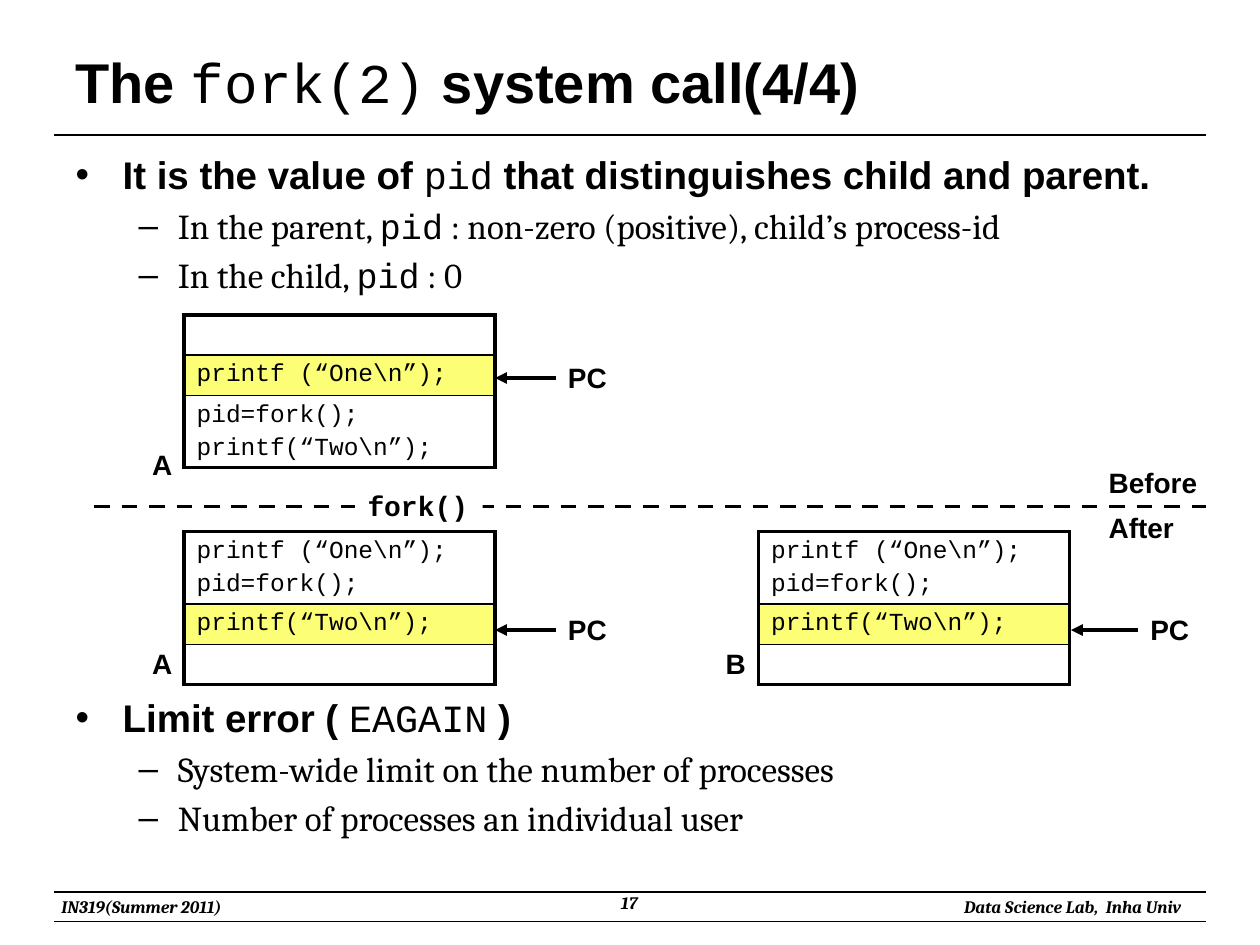
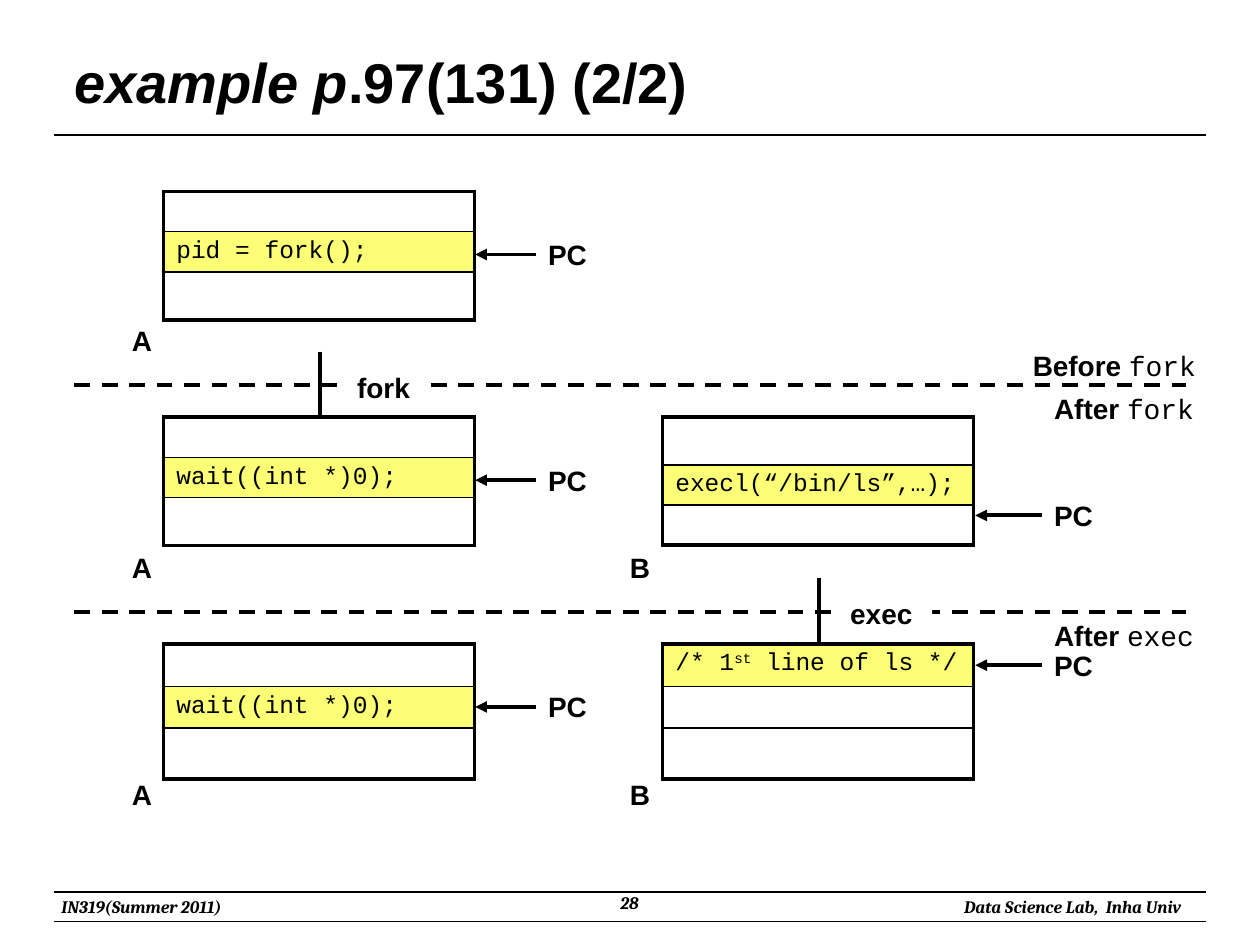
"""Build two slides on the fork and exec system calls."""
from lxml import etree
from pptx import Presentation
from pptx.dml.color import RGBColor
from pptx.enum.dml import MSO_LINE
from pptx.enum.shapes import MSO_CONNECTOR
from pptx.enum.text import MSO_ANCHOR, MSO_AUTO_SIZE, PP_ALIGN
from pptx.oxml.ns import qn
from pptx.util import Cm, Pt

STRAIGHT = MSO_CONNECTOR.STRAIGHT
DASH = MSO_LINE.DASH
MIDDLE = MSO_ANCHOR.MIDDLE
TOP = MSO_ANCHOR.TOP
FIXED = MSO_AUTO_SIZE.NONE
LEFT, CENTER, RIGHT = PP_ALIGN.LEFT, PP_ALIGN.CENTER, PP_ALIGN.RIGHT

SANS, SERIF, MONO = "Arial", "Cambria", "Courier New"
BLACK, WHITE, YELLOW = "000000", "FFFFFF", "FCFF75"
color = RGBColor.from_string
MEMORY_WIDTH = 6.27
LABEL_HEIGHT = 0.94
ROW = 0.81
DOUBLE_ROW = 1.46


def write_runs(paragraph, runs, size):
    """Add (text, font, style) runs; style letters are b, i and ^ for superscript."""
    for text, font, style in runs:
        run = paragraph.add_run()
        run.text = text
        run.font.name = font
        run.font.size = Pt(size)
        run.font.bold = "b" in style
        run.font.italic = "i" in style
        run.font.color.rgb = color(BLACK)
        if "^" in style:
            run.font._element.set("baseline", "30000")


def draw_line(slide, x1, y1, x2, y2, width=2.25, dashed=False, arrow=False):
    """Draw a straight black line, with an arrowhead at its end if asked."""
    line = slide.shapes.add_connector(STRAIGHT, Cm(x1), Cm(y1), Cm(x2), Cm(y2))
    line.line.width = Pt(width)
    line.line.color.rgb = color(BLACK)
    if dashed:
        line.line.dash_style = DASH
    if arrow:
        etree.SubElement(line.line._get_or_add_ln(), qn("a:tailEnd"), type="triangle")
    etree.SubElement(line._element.spPr, qn("a:effectLst"))


print_one = [("printf (“One\\n”);", MONO, "")]
print_two = [("printf(“Two\\n”);", MONO, "")]
call_fork = [("pid=fork();", MONO, "")]
wait_child = [("wait((int *)0);", MONO, "")]
ls_line = [("/* 1", MONO, ""), ("st", MONO, "^"), (" line of ls */", MONO, "")]
after_fork = [(DOUBLE_ROW, [print_one, call_fork], False),
              (ROW, [print_two], True), (ROW, [], False)]

fork_slide = {
    "page": "17",
    "title": (1.27, [("The ", SANS, "b"), ("fork(2)", MONO, ""),
                     (" system call(4/4)", SANS, "b")]),
    "bullets": [
        (0, 0, [("It is the value of ", SANS, "b"), ("pid", MONO, ""),
                (" that distinguishes child and parent.", SANS, "b")]),
        (1, None, [("In the parent, ", SERIF, ""), ("pid", MONO, ""),
                   (" : non-zero (positive), child’s process-id", SERIF, "")]),
        (1, None, [("In the child, ", SERIF, ""), ("pid", MONO, ""), (" : 0", SERIF, "")]),
        (0, 228, [("Limit error ( ", SANS, "b"), ("EAGAIN", MONO, ""), (" )", SANS, "b")]),
        (1, None, [("System-wide limit on the number of processes", SERIF, "")]),
        (1, None, [("Number of processes an individual user", SERIF, "")]),
    ],
    "memories": [
        (3.71, 6.35, [(ROW, [], False), (ROW, [print_one], True),
                      (DOUBLE_ROW, [call_fork, print_two], False)]),
        (3.71, 10.72, after_fork),
        (15.29, 10.72, after_fork),
    ],
    "boundaries": [(1.9, 24.31, 10.21)],
    "calls": [],
    "counters": [(9.98, 11.2, 7.62), (9.98, 11.2, 12.7), (21.59, 22.94, 12.7)],
    "labels": [
        (2.82, 8.89, 0.91, [("A", SANS, "b")], None),
        (2.82, 12.9, 0.91, [("A", SANS, "b")], None),
        (14.38, 12.9, 0.91, [("B", SANS, "b")], None),
        (22.1, 9.27, 2.29, [("Before", SANS, "b")], None),
        (22.1, 10.16, 1.83, [("After", SANS, "b")], None),
        (7.16, 9.73, 2.57, [("fork()", MONO, "b")], WHITE),
    ],
}

exec_slide = {
    "page": "28",
    "title": (1.24, [("example p", SANS, "bi"), (".97(131) (2/2)", SANS, "b")]),
    "bullets": [],
    "memories": [
        (3.3, 3.86, [(ROW, [], False), (ROW, [[("pid = fork();", MONO, "")]], True),
                     (0.97, [], False)]),
        (3.3, 8.41, [(ROW, [], False), (ROW, [wait_child], True), (0.97, [], False)]),
        (13.36, 8.41, [(0.96, [], False), (ROW, [[("execl(“/bin/ls”,…);", MONO, "")]], True),
                       (ROW, [], False)]),
        (3.3, 12.98, [(0.86, [], False), (0.84, [wait_child], True), (1.02, [], False)]),
        (13.36, 12.98, [(0.86, [ls_line], True), (0.84, [], False), (1.02, [], False)]),
    ],
    "boundaries": [(1.5, 23.9, 7.77), (1.5, 23.9, 12.34)],
    "calls": [(6.45, 7.09, 8.41), (16.51, 11.66, 12.98)],
    "counters": [(9.58, 10.8, 5.13), (9.58, 10.8, 9.68), (9.58, 10.8, 14.25),
                 (19.66, 21, 10.39), (19.66, 21, 13.41)],
    "labels": [
        (2.41, 6.4, 0.91, [("A", SANS, "b")], None),
        (2.41, 10.97, 0.91, [("A", SANS, "b")], None),
        (2.41, 15.54, 0.91, [("A", SANS, "b")], None),
        (12.45, 10.97, 0.91, [("B", SANS, "b")], None),
        (12.45, 15.54, 0.91, [("B", SANS, "b")], None),
        (20.57, 6.91, 3.81, [("Before ", SANS, "b"), ("fork", MONO, "")], None),
        (21, 7.77, 3.35, [("After ", SANS, "b"), ("fork", MONO, "")], None),
        (21, 12.34, 3.35, [("After ", SANS, "b"), ("exec", MONO, "")], None),
        (6.95, 7.34, 1.65, [("fork", SANS, "b")], WHITE),
        (16.89, 11.91, 1.9, [("exec", SANS, "b")], WHITE),
    ],
}

prs = Presentation()
prs.slide_width, prs.slide_height = Cm(25.4), Cm(19.05)

for content in (fork_slide, exec_slide):
    slide = prs.slides.add_slide(prs.slide_layouts[1 if content["bullets"] else 5])

    for rule_y in (2.72, 17.98, 18.57):
        draw_line(slide, 1.09, rule_y, 24.31, rule_y, width=0.75)
    for x, y, width, text, align in (
            (0.99, 17.93, 4.39, "IN319(Summer 2011)", LEFT),
            (18.19, 17.93, 5.87, "Data Science Lab,  Inha Univ", RIGHT),
            (9.73, 17.86, 5.92, content["page"], CENTER)):
        footer = slide.shapes.add_textbox(Cm(x), Cm(y), Cm(width), Cm(0.69)).text_frame
        footer.word_wrap = True
        footer.paragraphs[0].alignment = align
        write_runs(footer.paragraphs[0], [(text, SERIF, "bi")], 10)

    title_left, title_runs = content["title"]
    title = slide.shapes.title
    title.left, title.top, title.width, title.height = (
        Cm(title_left), Cm(0.76), Cm(22.86), Cm(1.75))
    title.text_frame.auto_size = FIXED
    title.text_frame.vertical_anchor = MIDDLE
    title.text_frame.paragraphs[0].alignment = LEFT
    write_runs(title.text_frame.paragraphs[0], title_runs, 32)

    if content["bullets"]:
        body = slide.placeholders[1]
        body.left, body.top, body.width, body.height = Cm(1.27), Cm(2.92), Cm(22.86), Cm(14.1)
        body.text_frame.auto_size = FIXED
        body.text_frame.vertical_anchor = TOP
    for index, (level, gap, runs) in enumerate(content["bullets"]):
        point = body.text_frame.add_paragraph() if index else body.text_frame.paragraphs[0]
        point.level = level
        margin, hanging = ((0.95, 0.95), (2.06, 0.79))[level]
        point._p.get_or_add_pPr().set("marL", str(Cm(margin)))
        point._p.get_or_add_pPr().set("indent", str(-Cm(hanging)))
        if gap is not None:
            point.space_before = Pt(gap)
        write_runs(point, runs, 20 if level else 22)

    for x, y, rows in content["memories"]:
        total = sum(height for height, _, _ in rows)
        memory = slide.shapes.add_table(
            len(rows), 1, Cm(x), Cm(y), Cm(MEMORY_WIDTH), Cm(total)).table
        memory.first_row = memory.horz_banding = False
        for index, (height, lines, current) in enumerate(rows):
            memory.rows[index].height = Cm(height)
            cell = memory.cell(index, 0)
            cell.margin_bottom = 0
            if not lines:
                cell.margin_top = 0
            top = 1 if index else 2.25
            bottom = 1 if index < len(rows) - 1 else 2.25
            for side, weight in (("lnL", 2.25), ("lnR", 2.25), ("lnT", top), ("lnB", bottom)):
                border = etree.SubElement(
                    cell._tc.get_or_add_tcPr(), qn("a:" + side), w=str(Pt(weight)))
                fill = etree.SubElement(border, qn("a:solidFill"))
                etree.SubElement(fill, qn("a:srgbClr"), val=BLACK)
            if current:
                cell.fill.solid()
                cell.fill.fore_color.rgb = color(YELLOW)
            else:
                cell.fill.background()
            for number, runs in enumerate(lines):
                code = cell.text_frame.add_paragraph() if number else cell.text_frame.paragraphs[0]
                code.space_before = Pt(3 if number else 0)
                write_runs(code, runs, 14)

    for x1, x2, y in content["boundaries"]:
        draw_line(slide, x1, y, x2, y, dashed=True)
    for x, y1, y2 in content["calls"]:
        draw_line(slide, x, y1, x, y2)

    counter_labels = []
    for tip, start, y in content["counters"]:
        draw_line(slide, start, y, tip, y, arrow=True)
        counter_labels.append((start, y - LABEL_HEIGHT / 2, 1.3, [("PC", SANS, "b")], None))

    for x, y, width, runs, backing in content["labels"] + counter_labels:
        label = slide.shapes.add_textbox(Cm(x), Cm(y), Cm(width), Cm(LABEL_HEIGHT))
        label.text_frame.word_wrap = False
        if backing:
            label.fill.solid()
            label.fill.fore_color.rgb = color(backing)
        write_runs(label.text_frame.paragraphs[0], runs, 16)

prs.save("out.pptx")
